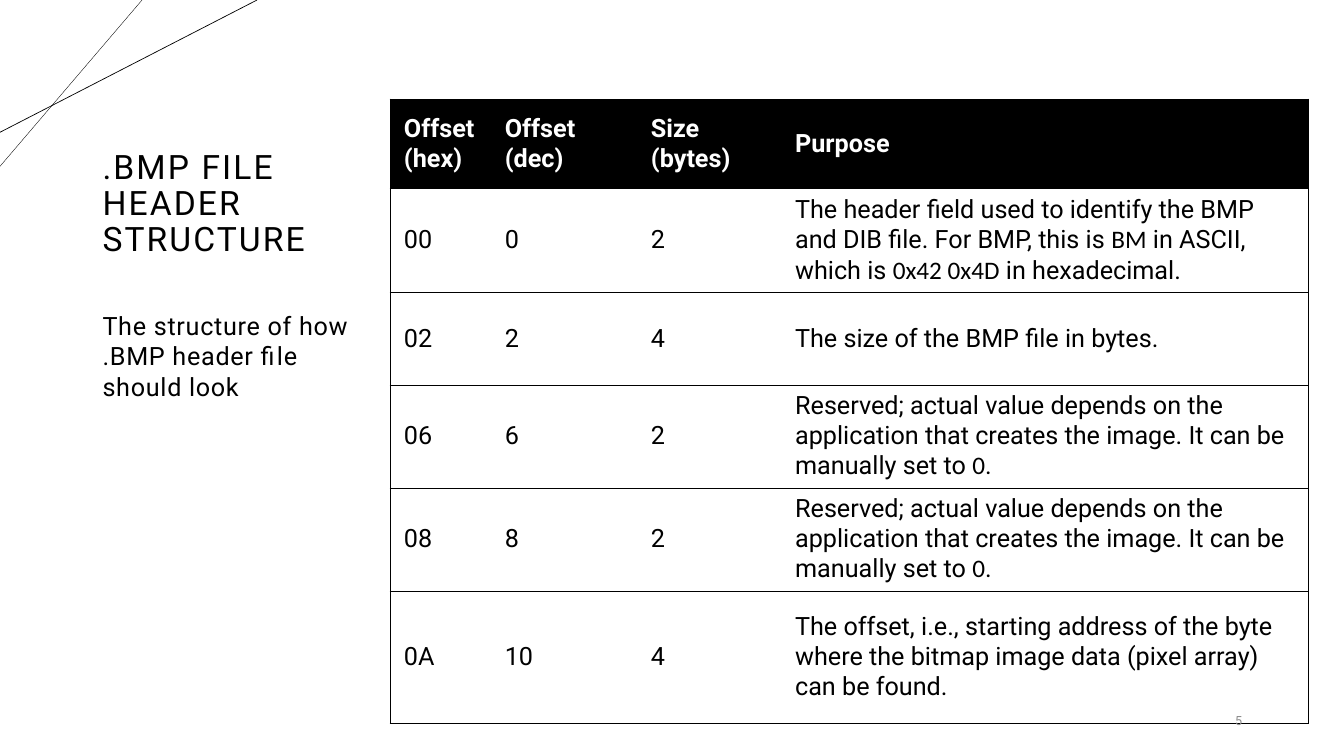
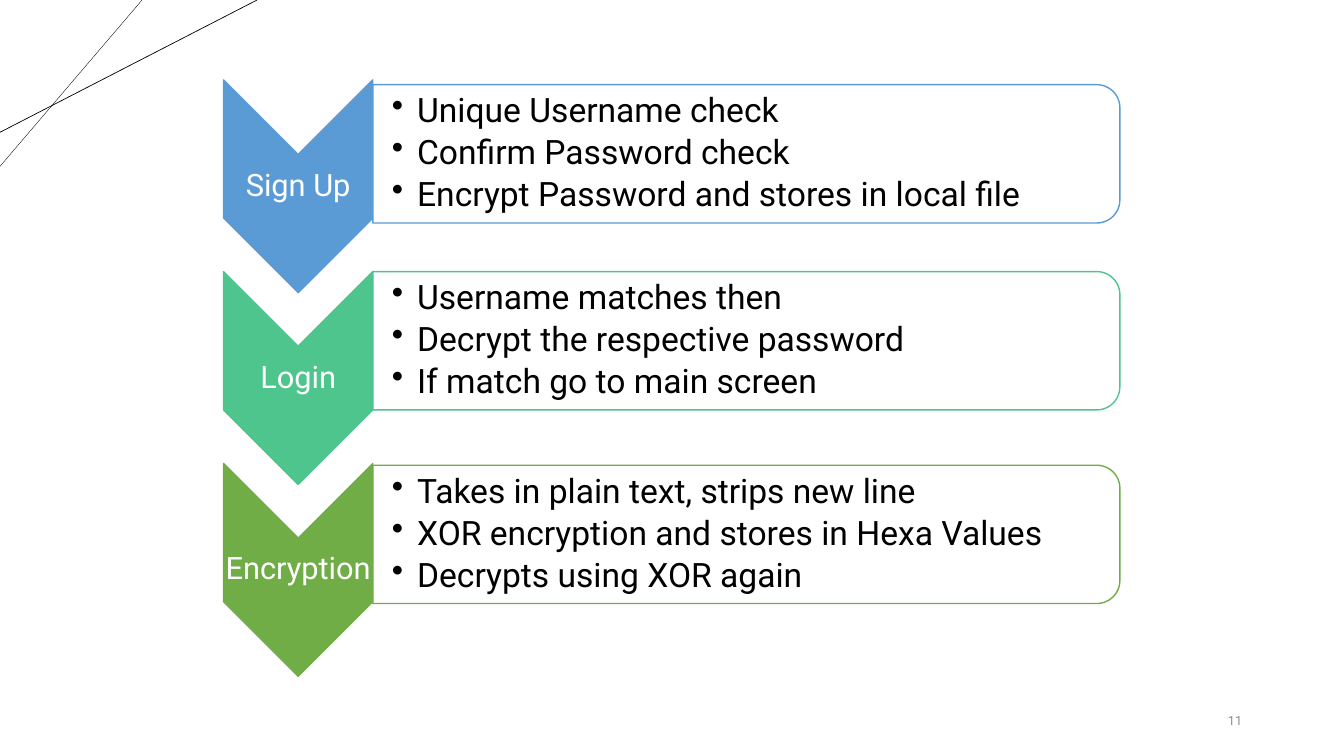
import pptx
import pptx.dml.color
import pptx.enum.shapes
import pptx.enum.text
import pptx.oxml
import pptx.oxml.ns
import pptx.util
from lxml import etree

Pt = pptx.util.Pt
RGBColor = pptx.dml.color.RGBColor
MSO_SHAPE = pptx.enum.shapes.MSO_SHAPE
ANCHOR = pptx.enum.text.MSO_ANCHOR
ALIGN = pptx.enum.text.PP_ALIGN
qn = pptx.oxml.ns.qn

BLACK = RGBColor(0x00, 0x00, 0x00)
WHITE = RGBColor(0xFF, 0xFF, 0xFF)
GRAY = RGBColor(0x8C, 0x8C, 0x8C)
BLUE = RGBColor(0x5B, 0x9B, 0xD5)
TEAL = RGBColor(0x4D, 0xC5, 0x8D)
GREEN = RGBColor(0x70, 0xAD, 0x47)

FONT = "Roboto"
LITERAL_FONT = "Calibri"

TABLE_BOX = (278.6, 70.6, 656, 445.9)
COLUMN_WIDTHS = (72, 104.4, 103, 376.6)
ROW_HEIGHTS = (64.1, 74, 66.2, 73.6, 73.6, 94.4)
RESERVED = ("Reserved; actual value depends on the application that creates "
            "the image. It can be manually set to `0`.")
HEADER_FIELDS = (
    ("Offset (hex)", "Offset (dec)", "Size (bytes)", "Purpose"),
    ("00", "0", "2",
     "The header field used to identify the BMP and DIB file. For BMP, "
     "this is `BM` in ASCII, which is `0x42 0x4D` in hexadecimal."),
    ("02", "2", "4", "The size of the BMP file in bytes."),
    ("06", "6", "2", RESERVED),
    ("08", "8", "2", RESERVED),
    ("0A", "10", "4",
     "The offset, i.e., starting address of the byte where the bitmap "
     "image data (pixel array) can be found."),
)

CHEVRON_LEFT, CHEVRON_TOP, CHEVRON_PITCH = 159.7, 57.1, 137
CHEVRON_WIDTH, CHEVRON_HEIGHT = 106.6, 152
PANEL_WIDTH, PANEL_HEIGHT = 533.6, 98.8
STEPS = (
    ("Sign Up", BLUE, 60.5,
     ("Unique Username check", "Confirm Password check",
      "Encrypt Password and stores in local file")),
    ("Login", TEAL, 194,
     ("Username matches then", "Decrypt the respective password",
      "If match go to main screen")),
    ("Encryption", GREEN, 332.3,
     ("Takes in plain text, strips new line",
      "XOR encryption and stores in Hexa Values",
      "Decrypts using XOR again")),
)


def points(*lengths):
    return [Pt(length) for length in lengths]


def add_run(paragraph, text, size, color, font=FONT, bold=False, spacing=0):
    run = paragraph.add_run()
    run.text = text
    run.font.size = Pt(size)
    run.font.name = font
    run.font.bold = bold
    run.font.color.rgb = color
    if spacing:
        run._r.get_or_add_rPr().set("spc", str(int(spacing * 100)))


def add_frame(slide, box, anchor=ANCHOR.MIDDLE, insets=(7.2, 3.6, 7.2, 3.6)):
    frame = slide.shapes.add_textbox(*points(*box)).text_frame
    frame.word_wrap = True
    frame.vertical_anchor = anchor
    (frame.margin_left, frame.margin_top,
     frame.margin_right, frame.margin_bottom) = points(*insets)
    return frame


def add_line(slide, start, end, width):
    line = slide.shapes.add_connector(
        pptx.enum.shapes.MSO_CONNECTOR.STRAIGHT, *points(*start, *end))
    line.line.color.rgb = BLACK
    line.line.width = Pt(width)
    etree.SubElement(line._element.spPr, qn("a:effectLst"))


def new_slide(deck, number):
    slide = deck.slides.add_slide(deck.slide_layouts[6])
    add_line(slide, (101.5, 0), (0, 118.8), 0.25)
    add_line(slide, (183.6, 0), (0, 94.5), 0.5)
    return slide


def add_number(slide, number):
    paragraph = add_frame(slide, (816.5, 500.4, 77.8, 28.8)).paragraphs[0]
    paragraph.alignment = ALIGN.RIGHT
    add_run(paragraph, str(number), 9, GRAY)


def add_heading(slide, box, title, summary):
    left, top, width, height = box
    title_height = 151.2
    heading = add_frame(slide, (left, top, width, title_height)).paragraphs[0]
    heading.line_spacing = 0.9
    add_run(heading, title, 24, BLACK, spacing=1.5)
    body = add_frame(
        slide, (left, top + title_height, width, height - title_height),
        ANCHOR.TOP, (7.2, 0, 7.2, 3.6))
    add_run(body.paragraphs[0], summary, 18, BLACK, spacing=0.5)


def set_borders(cell, visible_sides):
    properties = cell._tc.get_or_add_tcPr()
    for index, side in enumerate("LRTB"):
        border = etree.Element(qn(f"a:ln{side}"), w=str(Pt(0.5)))
        if side in visible_sides:
            fill = etree.SubElement(border, qn("a:solidFill"))
            etree.SubElement(fill, qn("a:srgbClr"), val=str(BLACK))
        else:
            etree.SubElement(border, qn("a:noFill"))
        properties.insert(index, border)


def fill_cell(cell, text, is_header):
    cell.vertical_anchor = ANCHOR.MIDDLE
    cell.margin_left = cell.margin_right = Pt(10)
    cell.margin_top = cell.margin_bottom = Pt(4.3)
    if is_header:
        cell.fill.solid()
        cell.fill.fore_color.rgb = BLACK
    else:
        cell.fill.background()
    paragraph = cell.text_frame.paragraphs[0]
    for index, part in enumerate(text.split("`")):
        add_run(paragraph, part, 18, WHITE if is_header else BLACK,
                LITERAL_FONT if index % 2 else FONT, is_header)


def add_fields_table(slide, box):
    table = slide.shapes.add_table(
        len(ROW_HEIGHTS), len(COLUMN_WIDTHS), *points(*box)).table
    table.first_row = table.horz_banding = False
    for column, width in zip(table.columns, COLUMN_WIDTHS):
        column.width = Pt(width)
    for row, height, texts in zip(table.rows, ROW_HEIGHTS, HEADER_FIELDS):
        row.height = Pt(height)
        for index, (cell, text) in enumerate(zip(row.cells, texts)):
            fill_cell(cell, text, texts is HEADER_FIELDS[0])
            sides = "TB" + ("L" if index == 0 else "")
            sides += "R" if index == len(texts) - 1 else ""
            set_borders(cell, sides)


def add_turned_shape(slide, preset, box, fill, line):
    left, top, width, height = box
    shift = (width - height) / 2
    shape = slide.shapes.add_shape(
        preset, *points(left + shift, top - shift, height, width))
    shape.rotation = 90
    shape.shadow.inherit = False
    shape.fill.solid()
    shape.fill.fore_color.rgb = fill
    shape.line.color.rgb = line
    shape.line.width = Pt(1)
    return shape


def add_chevron(slide, box, label, color):
    add_turned_shape(slide, MSO_SHAPE.CHEVRON, box, color, color)
    frame = add_frame(slide, box, insets=(1.4, 1.4, 1.4, 1.4))
    paragraph = frame.paragraphs[0]
    paragraph.alignment = ALIGN.CENTER
    paragraph.line_spacing = 0.9
    add_run(paragraph, label, 22, WHITE)


def add_bullet(paragraph):
    properties = paragraph._p.get_or_add_pPr()
    properties.set("marL", str(Pt(18)))
    properties.set("indent", str(-Pt(18)))
    etree.SubElement(properties, qn("a:buChar"), char="•")


def add_panel(slide, box, details, color):
    panel = add_turned_shape(
        slide, MSO_SHAPE.ROUND_2_SAME_RECTANGLE, box, WHITE, color)
    white = panel._element.spPr.find(qn("a:solidFill"))[0]
    etree.SubElement(white, qn("a:alpha"), val="90000")
    frame = add_frame(slide, box, insets=(13.7, 1.4, 1.4, 1.4))
    for index, detail in enumerate(details):
        paragraph = frame.add_paragraph() if index else frame.paragraphs[0]
        add_bullet(paragraph)
        paragraph.line_spacing = 0.9
        paragraph.space_after = Pt(4.2)
        add_run(paragraph, detail, 24, BLACK)


def build_header_slide(deck):
    slide = new_slide(deck, 5)
    add_heading(slide, (66.2, 70.6, 194.4, 406), ".BMP FILE HEADER STRUCTURE",
                "The structure of how .BMP header file should look")
    add_fields_table(slide, TABLE_BOX)
    add_number(slide, 5)


def build_steps_slide(deck):
    slide = new_slide(deck, 11)
    add_number(slide, 11)
    for index, (label, color, panel_top, details) in enumerate(STEPS):
        chevron_top = CHEVRON_TOP + index * CHEVRON_PITCH
        add_chevron(slide, (CHEVRON_LEFT, chevron_top, CHEVRON_WIDTH,
                            CHEVRON_HEIGHT), label, color)
        add_panel(slide, (CHEVRON_LEFT + CHEVRON_WIDTH, panel_top,
                          PANEL_WIDTH, PANEL_HEIGHT), details, color)


def main():
    deck = pptx.Presentation()
    deck.slide_width, deck.slide_height = points(960, 540)
    build_header_slide(deck)
    build_steps_slide(deck)
    deck.save("out.pptx")


if __name__ == "__main__":
    main()
